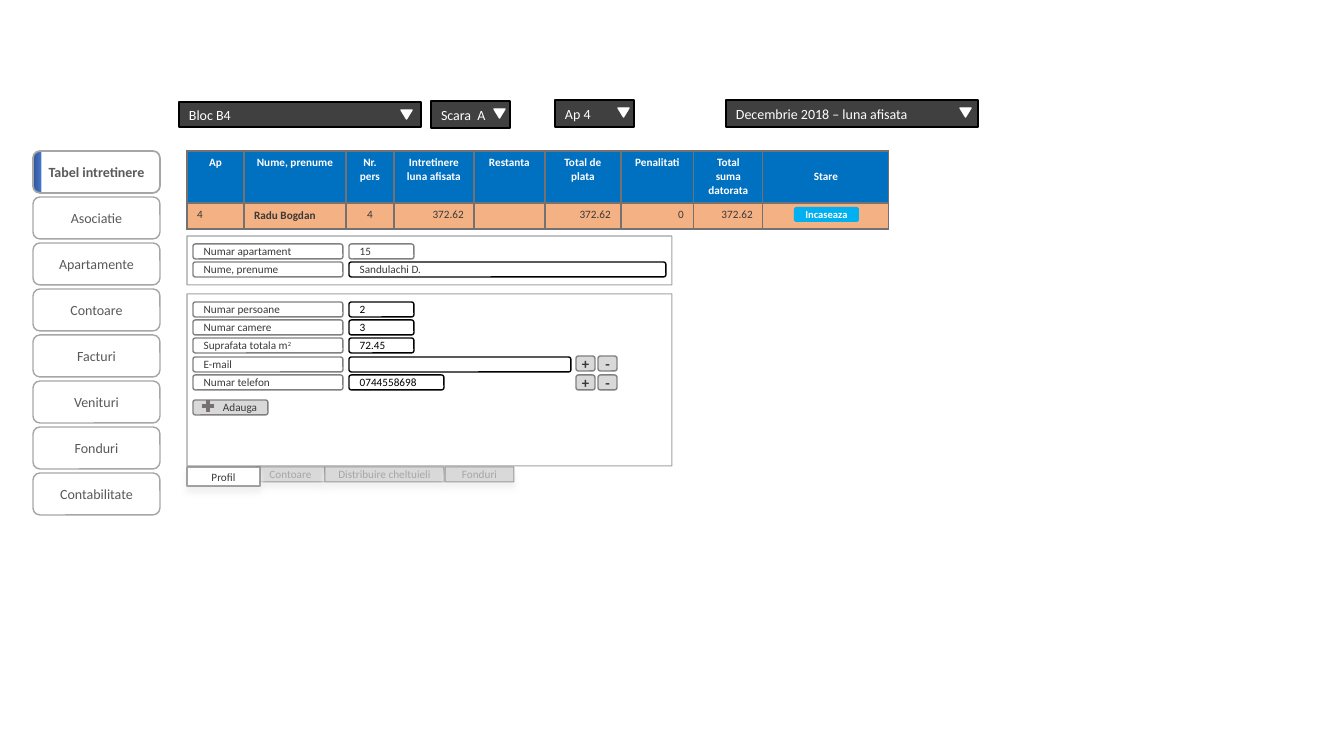
from copy import deepcopy
from lxml import etree
from pptx import Presentation
from pptx import util as u
from pptx.dml.color import RGBColor
from pptx.enum import shapes, text
from pptx.oxml import parse_xml
from pptx.oxml.ns import nsdecls, qn

EMU_PER_PX = 914400 / 100.8
RECT, ROUND = shapes.MSO_SHAPE.RECTANGLE, shapes.MSO_SHAPE.ROUNDED_RECTANGLE
LEFT, CENTER, RIGHT = text.PP_ALIGN.LEFT, text.PP_ALIGN.CENTER, text.PP_ALIGN.RIGHT
DARK, GREY = "3B3838", "808080"
rgb = RGBColor.from_string
px = lambda n: u.Emu(round(n * EMU_PER_PX))

prs = Presentation()
prs.slide_width, prs.slide_height = px(1344), px(756)
s = prs.slides.add_slide(prs.slide_layouts[6])


def write(p, words, size, color, align=LEFT, bold=False):
    p.alignment = align
    r = p.add_run()
    r.text = words
    r.font.color.rgb = rgb(color)
    for name, value in {"name": "Calibri", "size": u.Pt(size), "bold": bold}.items():
        setattr(r.font, name, value)
    return r


def draw(kind, box, fill=None, line=None, width=1, words="", size=8, color=DARK,
         align=LEFT, bold=False, inset=10, alpha=None):
    sp = s.shapes.add_shape(kind, *map(px, box))
    sp.shadow.inherit = False
    if fill:
        sp.fill.solid()
        sp.fill.fore_color.rgb = rgb(fill)
    else:
        sp.fill.background()
    if line:
        sp.line.color.rgb = rgb(line)
        sp.line.width = u.Pt(width)
        if alpha:
            clr = sp.line._ln.find(".//" + qn("a:srgbClr"))
            etree.SubElement(clr, qn("a:alpha"), val=str(alpha * 1000))
    else:
        sp.line.fill.background()
    if words:
        tf = sp.text_frame
        frame = {"word_wrap": True, "vertical_anchor": text.MSO_ANCHOR.MIDDLE,
                 "margin_left": px(inset), "margin_right": px(inset),
                 "margin_top": 0, "margin_bottom": 0}
        for name, value in frame.items():
            setattr(tf, name, value)
        write(tf.paragraphs[0], words, size, color, align, bold)
    return sp


menu = ["Tabel intretinere", "Asociatie", "Apartamente", "Contoare",
        "Facturi", "Venituri", "Fonduri", "Contabilitate"]
for i, name in enumerate(menu):
    active = i == 0
    sp = draw(ROUND, (33, 151 + 46 * i, 127, 42), "FFFFFF", "A6A6A6", 1.25 if active else 1,
              name, 10, "595959", CENTER, active)
    if active:
        sp.fill.gradient()
        sp.fill.gradient_angle = 180
        gs_list = sp._element.spPr.find(".//" + qn("a:gsLst"))
        for gs in list(gs_list):
            gs_list.append(deepcopy(gs))
        stops = [(0.93, "FFFFFF"), (0.94, "4472C4"), (1, "2F5597"), (1, "FFFFFF")]
        for stop, (position, color) in zip(sp.fill.gradient_stops, stops):
            stop.position = position
            stop.color.rgb = rgb(color)

columns = [("Ap", 57, "4", LEFT), ("Nume, prenume", 102, "Radu Bogdan", LEFT),
           ("Nr. pers", 48, "4", CENTER), ("Intretinere luna afisata", 80, "372.62", RIGHT),
           ("Restanta", 71, "", LEFT), ("Total de plata", 76, "372.62", RIGHT),
           ("Penalitati", 73, "0", RIGHT), ("Total suma datorata", 69, "372.62", RIGHT),
           ("Stare", 126, "", LEFT)]
table = s.shapes.add_table(2, len(columns), px(187), px(151), px(702), px(78)).table
table.first_row = table.horz_banding = False
table.rows[0].height, table.rows[1].height = px(52), px(26)
for c, (head, width, value, align) in enumerate(columns):
    table.columns[c].width = px(width)
    cells = [(head, "0070C0", "FFFFFF", CENTER, True),
             (value, "F4B183", DARK, align, value == "Radu Bogdan")]
    for row, (words, fill, color, side, bold) in enumerate(cells):
        cell = table.cell(row, c)
        p = cell.text_frame.paragraphs[0]
        if words:
            write(p, words, 8, color, side, bold)
        else:
            etree.SubElement(p._p, qn("a:endParaRPr"), sz="800")
        if words in ("Stare", "Radu Bogdan"):
            cell.vertical_anchor = text.MSO_ANCHOR.MIDDLE
        tc_pr = cell._tc.get_or_add_tcPr()
        for edge in ("lnL", "lnR", "lnT", "lnB"):
            tc_pr.append(parse_xml(
                f'<a:{edge} {nsdecls("a")} w="12700"><a:solidFill>'
                f'<a:srgbClr val="767171"/></a:solidFill></a:{edge}>'))
        cell.fill.solid()
        cell.fill.fore_color.rgb = rgb(fill)

dropdowns = [("Bloc B4", (179, 102, 242, 25), 401), ("Scara  A", (431, 101, 79, 27), 494),
             ("Ap 4", (555, 100, 79, 27), 618),
             ("Decembrie 2018 – luna afisata", (726, 100, 252, 27), 960)]
for name, box, arrow_x in dropdowns:
    draw(RECT, box, "404040", "000000", 1, name, 10, "FFFFFF")
    arrow = draw(shapes.MSO_SHAPE.ISOSCELES_TRIANGLE, (arrow_x, box[1] + 8, 11, 9),
                 "FFFFFF", "FFFFFF")
    arrow.rotation = 180

for y, height in ((294, 172), (236, 49)):
    draw(RECT, (187, y, 485, height), "FFFFFF", GREY, 0.75, alpha=72)

fields = [("Numar apartament", 244, "15", 65, GREY, DARK),
          ("Nume, prenume", 262, "Sandulachi D.", 317, "000000", DARK),
          ("Numar persoane", 302, "2", 65, "000000", "000000"),
          ("Numar camere", 320, "3", 65, "000000", "000000"),
          ("Suprafata totala m", 338, "72.45", 65, "000000", "000000"),
          ("E-mail", 357, "", 222, "000000", "000000"),
          ("Numar telefon", 375, "0744558698", 95, "000000", "000000")]
for label, y, value, width, line, color in fields:
    sp = draw(ROUND, (193, y, 150, 15), line=GREY, words=label)
    if label.endswith(" m"):
        r = write(sp.text_frame.paragraphs[0], "2", 8, DARK)
        r._r.get_or_add_rPr().set("baseline", "30000")
    draw(ROUND, (349, y, width, 15), line=line, words=value, color=color)

tabs = [("Contoare", (256, 467, 69, 15)), ("Distribuire cheltuieli", (325, 467, 119, 15)),
        ("Profil", (187, 467, 73, 19)), ("Fonduri", (445, 467, 69, 15))]
for name, box in tabs:
    active = name == "Profil"
    sp = draw(RECT, box, "FFFFFF" if active else "D9D9D9", GREY, 1.25 if active else 0.75,
              name, 8, DARK if active else "A6A6A6", CENTER, inset=0, alpha=72)
    effects = sp._element.spPr.find(qn("a:effectLst"))
    shadow = etree.SubElement(effects, qn("a:outerShdw"), blurRad="50800", dist="50800",
                              dir="5400000", rotWithShape="0")
    etree.SubElement(shadow, qn("a:srgbClr"), val="F2F2F2")

for y in (356, 375):
    for x, sign in ((576, "+"), (598, "-")):
        draw(ROUND, (x, y, 19, 15), "D9D9D9", GREY, 1, sign, 10.5, DARK, CENTER, True, 0)

draw(ROUND, (193, 400, 75, 15), "D9D9D9", GREY, 1, "Adauga", align=RIGHT)
plus = s.shapes.add_group_shape()
for ends in ((208, 400, 208, 412), (202, 406, 214, 406)):
    bar = plus.shapes.add_connector(shapes.MSO_CONNECTOR.STRAIGHT, *map(px, ends))
    bar.line.color.rgb = rgb("767171")
    bar.line.width = u.Pt(2.75)
    etree.SubElement(bar._element.spPr, qn("a:effectLst"))

draw(ROUND, (794, 207, 65, 15), "00B0F0", words="Incaseaza", size=7.5, color="FFFFFF",
     align=CENTER, bold=True, inset=0)

prs.save("out.pptx")
